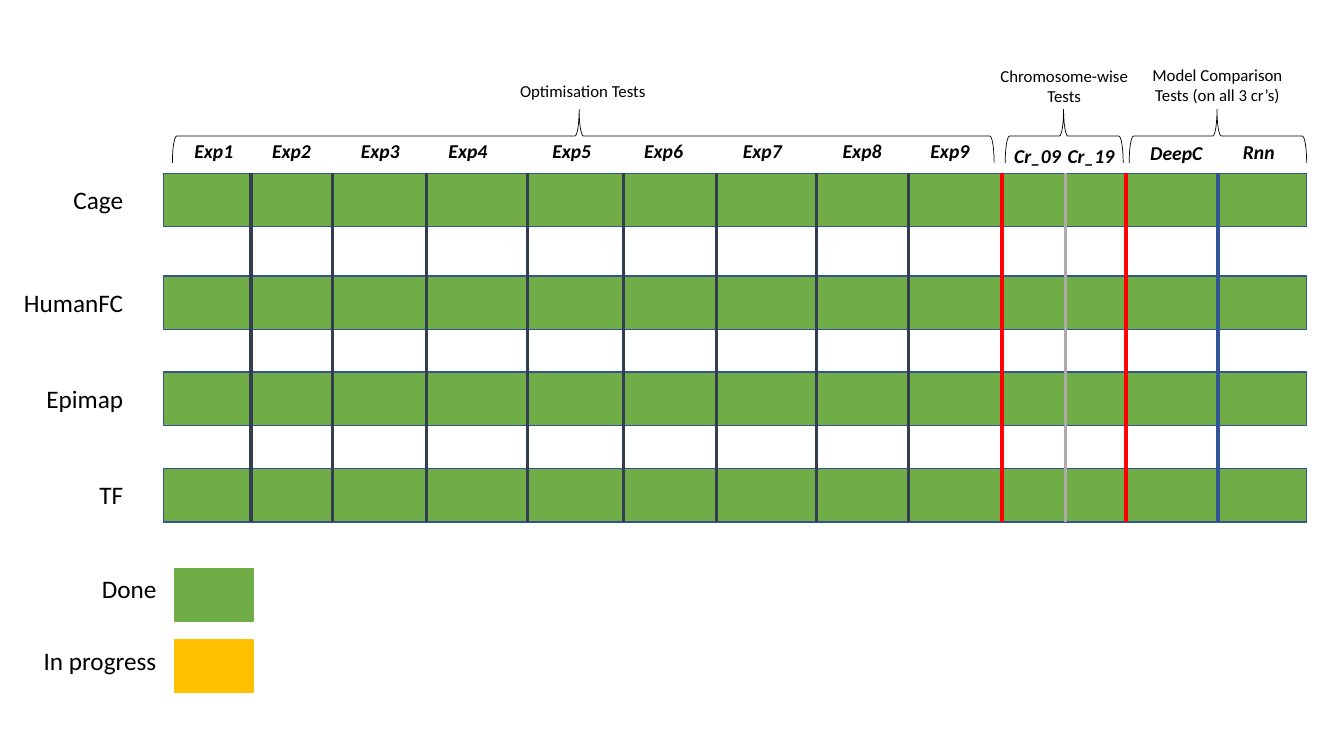
import pptx
import pptx.util
import pptx.dml.color
import pptx.enum.shapes
import pptx.enum.text
from pptx.util import Inches, Pt

COLORS = {"done": "70AD47", "progress": "FFC000", "outline": "325491",
          "text": "000000", "exp": "333F50", "group": "FF0000",
          "chrom": "AFABAB", "model": "2F5597"}

# Content: (label, top) for rows and legend, (label, left, top) for columns
ROWS = [("Cage", 1.72), ("HumanFC", 2.74), ("Epimap", 3.69), ("TF", 4.65)]
EXP_LEFTS = [1.83, 2.6, 3.48, 4.35, 5.38, 6.29, 7.27, 8.26, 9.13]
COLUMNS = [(f"Exp{i}", x, 1.33) for i, x in enumerate(EXP_LEFTS, 1)]
COLUMNS += [("Cr_09", 9.96, 1.38), ("Cr_19", 10.49, 1.38),
            ("DeepC", 11.31, 1.35), ("Rnn", 12.23, 1.34)]
# Groups: lines of the heading, its left and top, brace left and right
GROUPS = [(["Optimisation Tests"], 5.06, 0.75, 1.71, 9.86),
          (["Chromosome-wise Tests"], 9.75, 0.6, 9.97, 11.14),
          (["Model Comparison", "Tests (on all 3 cr’s)"], 11.27, 0.59, 11.2, 12.96)]
# Dividers: colour, width, x positions
DIVIDERS = [("model", 2.25, [12.08]),
            ("group", 3, [9.94, 11.17]),
            ("exp", 2.25, [2.49, 3.3, 4.23, 5.23, 6.18, 7.11, 8.1, 9.01]),
            ("chrom", 2.25, [10.57])]
LEGEND = [("Done", 5.64, "done"), ("In progress", 6.35, "progress")]

BAR_LEFT, BAR_WIDTH, BAR_HEIGHT = 1.62, 11.34, 0.53
BRACE_MIDDLE, BRACE_DEPTH = 1.35, 0.53
ALIGN = pptx.enum.text.PP_ALIGN
SHAPE = pptx.enum.shapes.MSO_SHAPE

prs = pptx.Presentation()
prs.slide_width, prs.slide_height = Inches(13.33), Inches(7.5)
s = prs.slides.add_slide(prs.slide_layouts[6])


def rgb(name):
    return pptx.dml.color.RGBColor.from_string(COLORS[name])


def add_text(lines, x, y, w, h, size, align=ALIGN.LEFT, strong=False):
    tf = s.shapes.add_textbox(Inches(x), Inches(y), Inches(w), Inches(h)).text_frame
    tf.word_wrap = True
    tf.auto_size = pptx.enum.text.MSO_AUTO_SIZE.SHAPE_TO_FIT_TEXT
    tf.text = "\n".join(lines)
    for p in tf.paragraphs:
        p.alignment = align
        p.font.name, p.font.size = "Calibri", Pt(size)
        p.font.bold = p.font.italic = strong
        p.font.color.rgb = rgb("text")


def add_shape(kind, x, y, w, h, fill, line, width=1):
    sp = s.shapes.add_shape(kind, Inches(x), Inches(y), Inches(w), Inches(h))
    sp.shadow.inherit = False
    if fill:
        sp.fill.solid()
        sp.fill.fore_color.rgb = rgb(fill)
    else:
        sp.fill.background()
    sp.line.color.rgb, sp.line.width = rgb(line), Pt(width)
    return sp


# Progress bars with right-aligned row labels
for label, top in ROWS:
    add_shape(SHAPE.RECTANGLE, BAR_LEFT, top, BAR_WIDTH, BAR_HEIGHT, "done", "outline")
    add_text([label], 0.02, top + 0.06, 1.3, 0.4, 18, ALIGN.RIGHT)

# Column labels
for label, x, y in COLUMNS:
    add_text([label], x, y, 0.76, 0.34, 14, strong=True)

# Group headings above braces turned to point upwards
for lines, x, y, left, right in GROUPS:
    align = ALIGN.LEFT if lines == ["Optimisation Tests"] else ALIGN.CENTER
    add_text(lines, x, y, 1.61, 0.3 if align == ALIGN.LEFT else 0.5, 12, align)
    span = right - left
    brace = add_shape(SHAPE.RIGHT_BRACE, (left + right - BRACE_DEPTH) / 2,
                      BRACE_MIDDLE - span / 2, BRACE_DEPTH, span, None, "text", 0.5)
    brace.rotation = 270
    brace.adjustments[0], brace.adjustments[1] = 0.08, 0.495

# Column dividers across all rows
top, bottom = ROWS[0][1], ROWS[-1][1] + BAR_HEIGHT
for color, width, positions in DIVIDERS:
    for x in positions:
        c = s.shapes.add_connector(pptx.enum.shapes.MSO_CONNECTOR.STRAIGHT,
                                   Inches(x), Inches(top), Inches(x), Inches(bottom))
        c.line.color.rgb, c.line.width = rgb(color), Pt(width)
        c._element.spPr.append(pptx.oxml.parse_xml(
            '<a:effectLst xmlns:a="http://schemas.openxmlformats.org/drawingml/2006/main"/>'))

# Legend
for label, y, color in LEGEND:
    add_shape(SHAPE.RECTANGLE, 1.73, y, 0.78, 0.52, color, color)
    add_text([label], 0.25, y, 1.4, 0.4, 18, ALIGN.RIGHT)

prs.save("out.pptx")
